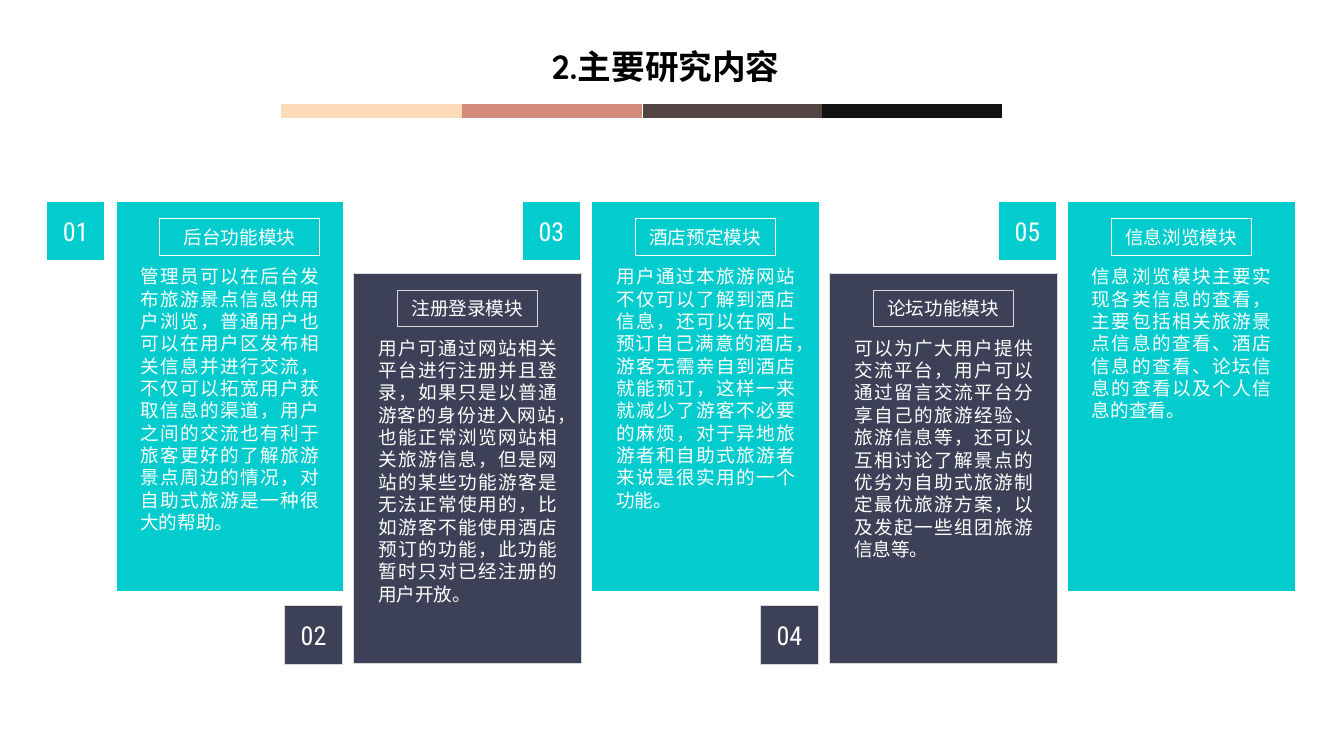
from pptx import Presentation
from pptx.dml.color import RGBColor
from pptx.enum.shapes import MSO_CONNECTOR, MSO_SHAPE
from pptx.enum.text import MSO_ANCHOR, PP_ALIGN
from pptx.oxml.ns import qn
from pptx.util import Inches, Pt
from lxml.etree import SubElement

TEAL, NAVY, WHITE, GREY = "03CCCE", "3C4157", "FFFFFF", "D9D9D9"
rgb = RGBColor.from_string


def set_text(sp, text, size, font, align, color=WHITE):
    tf = sp.text_frame
    tf.word_wrap = True
    p = tf.paragraphs[0]
    p.text = text
    p.alignment = align
    p.font.size = Pt(size)
    p.font.name = font
    p.font.color.rgb = rgb(color)
    return tf


def add_box(x, y, w, h, fill, line, text="", size=13.3):
    sp = s.shapes.add_shape(MSO_SHAPE.RECTANGLE, Inches(x), Inches(y), Inches(w), Inches(h))
    sp.shadow.inherit = False
    sp.fill.solid()
    sp.fill.fore_color.rgb = rgb(fill)
    sp.line.color.rgb = rgb(line)
    sp.line.width = Pt(0.5)
    if text:
        tf = set_text(sp, text, size, "Roboto Condensed", PP_ALIGN.CENTER)
        tf.vertical_anchor = MSO_ANCHOR.MIDDLE


prs = Presentation()
prs.slide_width, prs.slide_height = Inches(13.33), Inches(7.5)
s = prs.slides.add_slide(prs.slide_layouts[6])

# Four-colour rule under the title
for x, color in [(2.79, "FDDAB8"), (4.58, "D28C79"), (6.38, "534544"), (8.15, "121212")]:
    rule = s.shapes.add_connector(
        MSO_CONNECTOR.STRAIGHT, Inches(x), Inches(1.1), Inches(x + 1.79), Inches(1.1))
    rule.line.color.rgb = rgb(color)
    rule.line.width = Pt(10)
    SubElement(rule._element.spPr, qn("a:effectLst"))

# Title
title = s.shapes.add_textbox(Inches(4.16), Inches(0.29), Inches(4.88), Inches(0.62))
tf = set_text(title, "2.主要研究内容", 24, "Quicksand", PP_ALIGN.CENTER, "000000")
tf.paragraphs[0].font.bold = True
tf.paragraphs[0].line_spacing = 1.3

# Module cards: label, label width, body height, body
modules = [
    ("后台功能模块", 1.59, 2.7,
     "管理员可以在后台发布旅游景点信息供用户浏览，普通用户也可以在用户区发布相关信息并进行交流，"
     "不仅可以拓宽用户获取信息的渠道，用户之间的交流也有利于旅客更好的了解旅游景点周边的情况，"
     "对自助式旅游是一种很大的帮助。"),
    ("注册登录模块", 1.39, 2.7,
     "用户可通过网站相关平台进行注册并且登录，如果只是以普通游客的身份进入网站，"
     "也能正常浏览网站相关旅游信息，但是网站的某些功能游客是无法正常使用的，"
     "比如游客不能使用酒店预订的功能，此功能暂时只对已经注册的用户开放。"),
    ("酒店预定模块", 1.39, 2.48,
     "用户通过本旅游网站不仅可以了解到酒店信息，还可以在网上预订自己满意的酒店，"
     "游客无需亲自到酒店就能预订，这样一来就减少了游客不必要的麻烦，"
     "对于异地旅游者和自助式旅游者来说是很实用的一个功能。"),
    ("论坛功能模块", 1.39, 2.25,
     "可以为广大用户提供交流平台，用户可以通过留言交流平台分享自己的旅游经验、旅游信息等，"
     "还可以互相讨论了解景点的优劣为自助式旅游制定最优旅游方案，以及发起一些组团旅游信息等。"),
    ("信息浏览模块", 1.39, 1.58,
     "信息浏览模块主要实现各类信息的查看，主要包括相关旅游景点信息的查看、酒店信息的查看、"
     "论坛信息的查看以及个人信息的查看。"),
]
for i, (label, label_w, body_h, body) in enumerate(modules):
    x = 1.15 + 2.36 * i
    # Odd-numbered cards sit high with the number at the top, even ones low with it at the foot
    y, number_y, fill, line = [(2, 2, TEAL, WHITE), (2.71, 6.01, NAVY, GREY)][i % 2]
    add_box(x, y, 2.26, 3.87, fill, line)
    text_box = s.shapes.add_textbox(
        Inches(x + 0.24), Inches(y + 0.63), Inches(1.78), Inches(body_h))
    tf = set_text(text_box, body, 13.3, "Arial", PP_ALIGN.JUSTIFY)
    tf.margin_left = tf.margin_right = tf.margin_top = tf.margin_bottom = 0
    add_box(x + 0.43, y + 0.17, label_w, 0.36, fill, line, label)
    add_box(x - 0.69, number_y, 0.58, 0.58, fill, line, f"{i + 1:02}", 18.6)

prs.save("out.pptx")
